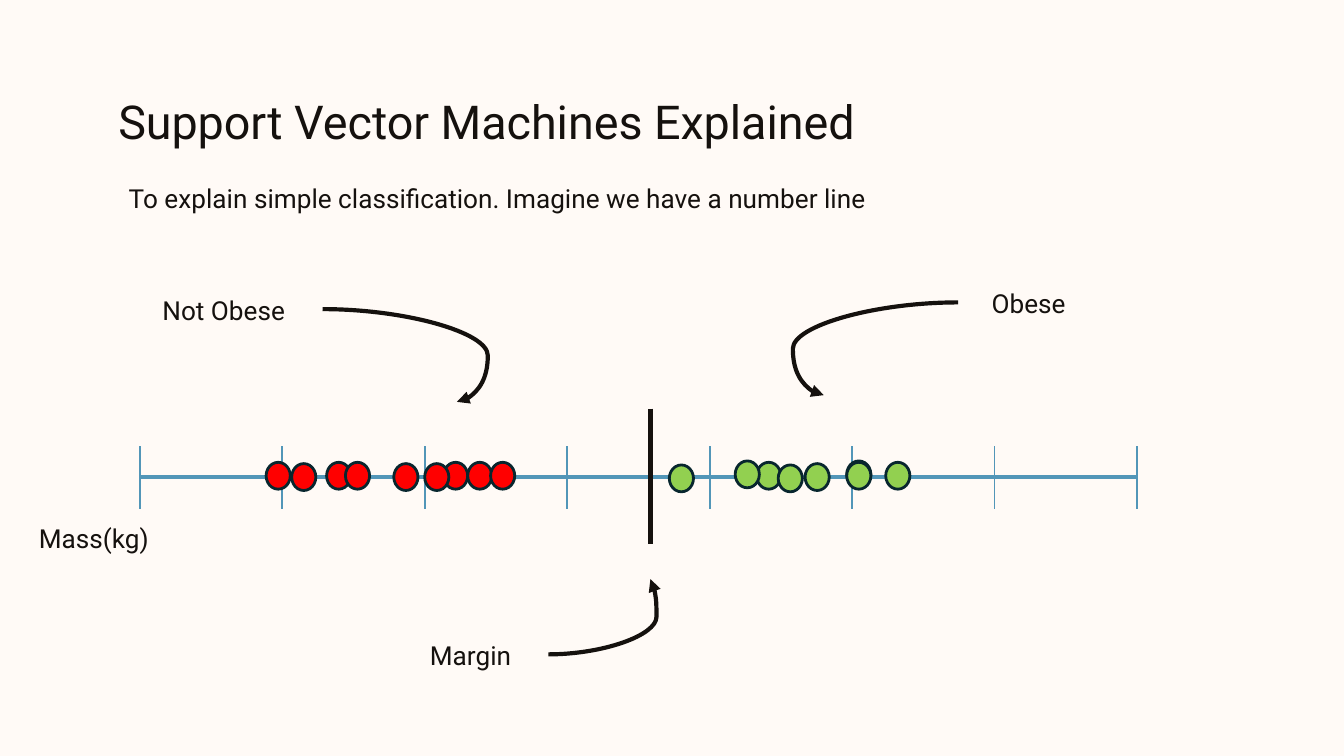
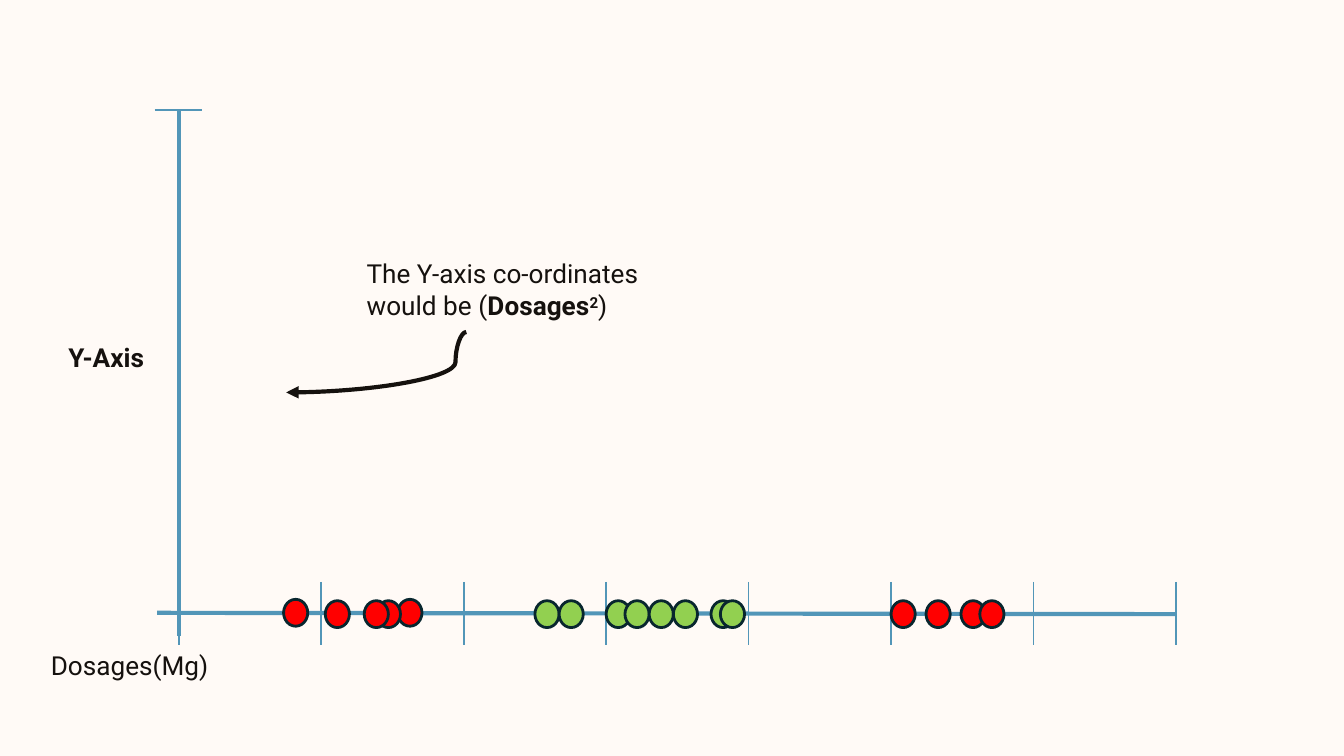
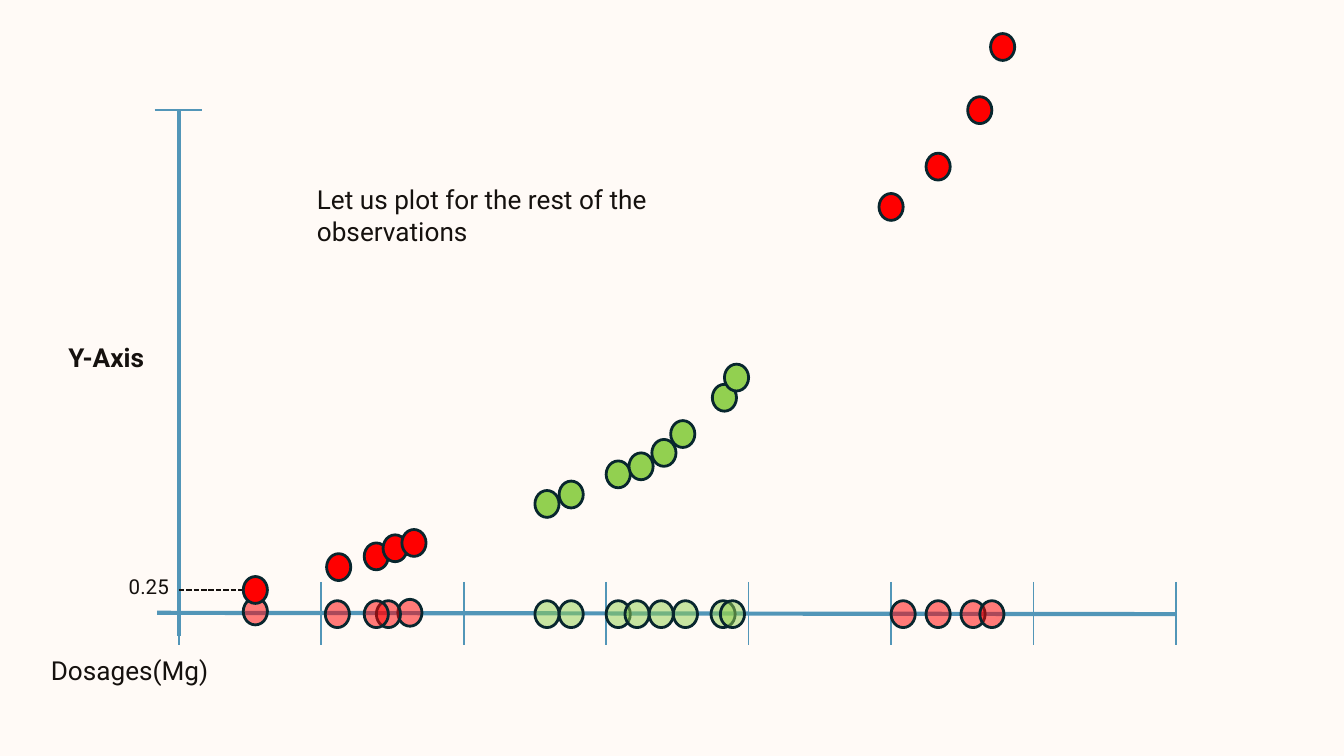
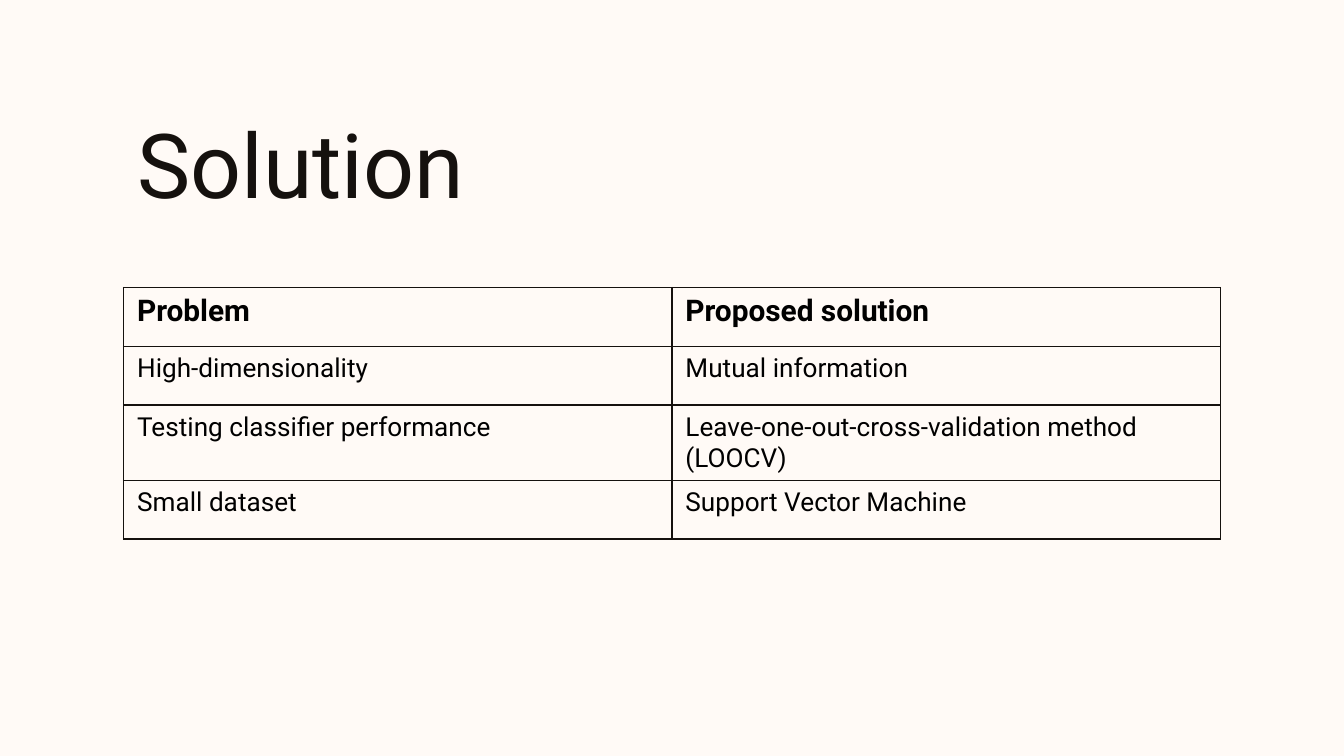
from lxml.etree import SubElement
from pptx import Presentation
from pptx.dml.color import RGBColor
from pptx.enum.dml import MSO_LINE
from pptx.enum.shapes import MSO_CONNECTOR, MSO_SHAPE
from pptx.enum.text import MSO_ANCHOR, MSO_AUTO_SIZE, PP_ALIGN
from pptx.oxml.ns import qn
from pptx.util import Inches, Pt

COLUMNS, ROWS = 100, 56.25
CELL = Inches(0.1)
FONT = "Roboto"
PAPER, INK, BLACK = "FFFAF6", "15110E", "000000"
AXIS, OUTLINE = "5296B8", "08262E"
RED, GREEN = "FF0000", "92D050"
DOT_WIDTH, DOT_HEIGHT = 1.8, 2
TICK_COUNT, TICK_GAP, TICK_UP, TICK_DOWN = 8, 10.6, 2.3, 2.4
TITLE_ONLY, BLANK = 5, 6

FRAME_FORMAT = dict(
    word_wrap=True, auto_size=MSO_AUTO_SIZE.NONE, vertical_anchor=MSO_ANCHOR.TOP,
    margin_left=CELL, margin_right=CELL, margin_top=CELL, margin_bottom=CELL,
)


def grid(*cells):
    return [round(cell * CELL) for cell in cells]


def colour(code):
    return RGBColor.from_string(code)


def apply(target, values):
    for name, value in values.items():
        setattr(target, name, value)


class Deck:
    """Holds the shared style and the slide being built."""

    def __init__(self):
        self.presentation = Presentation()
        width, height = grid(COLUMNS, ROWS)
        apply(self.presentation, dict(slide_width=width, slide_height=height))
        paper = self.presentation.slide_master.background.fill
        paper.solid()
        paper.fore_color.rgb = colour(PAPER)

    def new_slide(self, layout=BLANK):
        layouts = self.presentation.slide_layouts
        self.slide = self.presentation.slides.add_slide(layouts[layout])
        self.shapes = self.slide.shapes

    def run(self, paragraph, wording, size, bold=False, ink=INK, raised=False):
        run = paragraph.add_run()
        run.text = wording
        apply(run.font, dict(name=FONT, size=Pt(size), bold=bold))
        run.font.color.rgb = colour(ink)
        if raised:
            run._r.get_or_add_rPr().set("baseline", "30000")

    def title(self, wording, box, size):
        heading = self.shapes.title
        apply(heading, dict(zip(("left", "top", "width", "height"), grid(*box))))
        apply(heading.text_frame, FRAME_FORMAT)
        paragraph = heading.text_frame.paragraphs[0]
        paragraph.alignment = PP_ALIGN.LEFT
        self.run(paragraph, wording, size)

    def text(self, box, *lines, size=14, spacing=1.0):
        """Each line is a string or a list of (wording, run format) pairs."""
        frame = self.shapes.add_textbox(*grid(*box)).text_frame
        apply(frame, FRAME_FORMAT)
        for index, line in enumerate(lines):
            paragraph = frame.add_paragraph() if index else frame.paragraphs[0]
            paragraph.line_spacing = spacing
            pieces = [(line, {})] if isinstance(line, str) else line
            for wording, run_format in pieces:
                self.run(paragraph, wording, size, **run_format)

    def line(self, start, end, ink=AXIS, weight=1.0, dash=None, kind=MSO_CONNECTOR.STRAIGHT):
        connector = self.shapes.add_connector(kind, *grid(*start, *end))
        apply(connector.line, dict(width=Pt(weight), dash_style=dash))
        connector.line.color.rgb = colour(ink)
        SubElement(connector._element.spPr, qn("a:effectLst"))
        return connector

    def curved_arrow(self, start, end, bend):
        """Bend is where the curve turns, as a share of its width."""
        arrow = self.line(start, end, INK, 2.25, kind=MSO_CONNECTOR.CURVE)
        properties = arrow._element.spPr
        SubElement(properties.find(qn("a:ln")), qn("a:tailEnd"), type="triangle")
        guides = properties.find(qn("a:prstGeom")).find(qn("a:avLst"))
        SubElement(guides, qn("a:gd"), name="adj1", fmla=f"val {round(bend * 100000)}")

    def dots(self, fill, places, opacity=100):
        for left, top in places:
            dot = self.shapes.add_shape(
                MSO_SHAPE.OVAL, *grid(left, top, DOT_WIDTH, DOT_HEIGHT))
            dot.shadow.inherit = False
            dot.fill.solid()
            dot.fill.fore_color.rgb = colour(fill)
            dot.line.color.rgb = colour(OUTLINE)
            dot.line.width = Pt(1.5)
            if opacity < 100:
                solid = dot._element.spPr.find(qn("a:solidFill"))
                SubElement(solid[0], qn("a:alpha"), val=str(opacity * 1000))

    def number_line(self, first_tick, row, overhang=0.0, slope=0.0):
        last_tick = first_tick + (TICK_COUNT - 1) * TICK_GAP
        self.line((first_tick - overhang, row), (last_tick, row + slope), weight=2.25)
        for index in range(TICK_COUNT):
            column = first_tick + index * TICK_GAP
            self.line((column, row - TICK_UP), (column, row + TICK_DOWN))

    def table(self, box, rows):
        grid_table = self.shapes.add_table(len(rows), len(rows[0]), *grid(*box)).table
        apply(grid_table, dict(first_row=False, horz_banding=False))
        for row_index, entries in enumerate(rows):
            heading = row_index == 0
            for column_index, entry in enumerate(entries):
                cell = grid_table.cell(row_index, column_index)
                self.run(cell.text_frame.paragraphs[0], entry,
                         16 if heading else 14, heading, BLACK)
                self.cell_borders(cell)
                cell.fill.background()

    def cell_borders(self, cell):
        properties = cell._tc.get_or_add_tcPr()
        for side in ("lnL", "lnR", "lnT", "lnB"):
            border = SubElement(properties, qn(f"a:{side}"), w=str(Pt(1)))
            SubElement(SubElement(border, qn("a:solidFill")), qn("a:srgbClr"), val=INK)


def mass_slide(deck):
    deck.new_slide(TITLE_ONLY)
    deck.title("Support Vector Machines Explained", (7.8, 5.9, 84.4, 6), 25)
    deck.number_line(10.4, 35.5)
    deck.dots(RED, [(21.7, 34.5), (24.3, 34.4), (33, 34.4), (25.7, 34.4), (29.3, 34.5),
                    (31.6, 34.5), (19.8, 34.4), (34.8, 34.4), (36.5, 34.4)])
    deck.line((48.4, 30.4), (48.4, 40.5), INK, 3)
    deck.dots(GREEN, [(56.3, 34.4), (57.9, 34.6), (54.7, 34.3), (59.9, 34.5),
                      (63, 34.3), (65.9, 34.4), (63, 34.4), (49.8, 34.6)])
    deck.text((8.6, 12.6, 63.3, 7.9),
              "To explain simple classification. Imagine we have a number line")
    deck.curved_arrow((24, 23), (34, 29.9), 1.23)
    deck.text((11.1, 20.9, 25.5, 7.9), "Not Obese")
    deck.curved_arrow((71.3, 22.5), (61.3, 29.4), 1.23)
    deck.text((72.8, 20.4, 25.5, 7.9), "Obese")
    deck.curved_arrow((40.8, 48.7), (48.4, 43.1), 1.06)
    deck.text((31, 46.6, 25.5, 7.9), "Margin")
    deck.text((1.9, 37.9, 13.5, 8), "Mass(kg)")


def dosage_axes(deck, first_dose, label_row, opacity=100):
    """Both axes with every dose on the number line."""
    deck.new_slide()
    deck.number_line(13.3, 45.6, overhang=1.6, slope=0.1)
    effective = (39.8, 45.1, 46.5, 41.6, 48.3, 50.1, 52.9, 53.6)
    ineffective = (66.3, 68.9, 71.5, 72.9, 28, 27.1, 24.2)
    deck.dots(GREEN, [(dose, 44.7) for dose in effective], opacity)
    deck.dots(RED, [(29.6, 44.6)], opacity)
    deck.dots(RED, [(dose, 44.7) for dose in ineffective], opacity)
    deck.dots(RED, [first_dose], opacity)
    deck.text((2.8, label_row, 57.3, 7.9), "Dosages(Mg)")
    deck.line((13.3, 47.3), (13.3, 8.2), weight=2.25)
    deck.line((11.5, 8.2), (15, 8.2))
    deck.text((4.1, 24.4, 8.7, 5.1), [("Y-Axis", dict(bold=True))])


def squared_dosage_slide(deck):
    dosage_axes(deck, (21.1, 44.6), 47.3)
    deck.text((26.3, 18, 25.4, 7.9), [
        ("The Y-axis co-ordinates would be (", {}),
        ("Dosages", dict(bold=True)),
        ("2", dict(bold=True, raised=True)),
        (")", {}),
    ], spacing=1.05)
    deck.curved_arrow((34.7, 24.7), (21.3, 29.2), 0.06)


def plotted_dosage_slide(deck):
    dosage_axes(deck, (18.1, 44.5), 47.7, opacity=51)
    deck.line((13.3, 43.9), (18.1, 43.9), INK, dash=MSO_LINE.SQUARE_DOT)
    deck.text((8.6, 41.7, 5.7, 3.2), "0.25", size=11)
    deck.dots(RED, [(18.1, 42.9), (24.3, 41.2), (27.1, 40.4), (28.5, 39.8), (29.9, 39.4)])
    deck.dots(GREEN, [(39.8, 36.5), (41.6, 35.8), (45.1, 34.3), (46.8, 33.7),
                      (48.5, 32.7), (49.9, 31.3), (53, 28.6), (53.9, 27.1)])
    deck.dots(RED, [(65.4, 14.4), (68.9, 11.4), (72, 7.2), (73.7, 2.5)])
    deck.text((22.6, 12.5, 29.7, 11.3),
              "Let us plot for the rest of the", "observations", spacing=1.05)


def solution_slide(deck):
    deck.new_slide(TITLE_ONLY)
    deck.title("Solution", (9.2, 7.1, 84.4, 10.1), 48)
    deck.table((9.2, 21.4, 81.6, 17.5), [
        ("Problem", "Proposed solution"),
        ("High-dimensionality", "Mutual information"),
        ("Testing classifier performance", "Leave-one-out-cross-validation method (LOOCV)"),
        ("Small dataset", "Support Vector Machine"),
    ])


def main():
    deck = Deck()
    for build in (mass_slide, squared_dosage_slide, plotted_dosage_slide, solution_slide):
        build(deck)
    deck.presentation.save("out.pptx")


if __name__ == "__main__":
    main()
